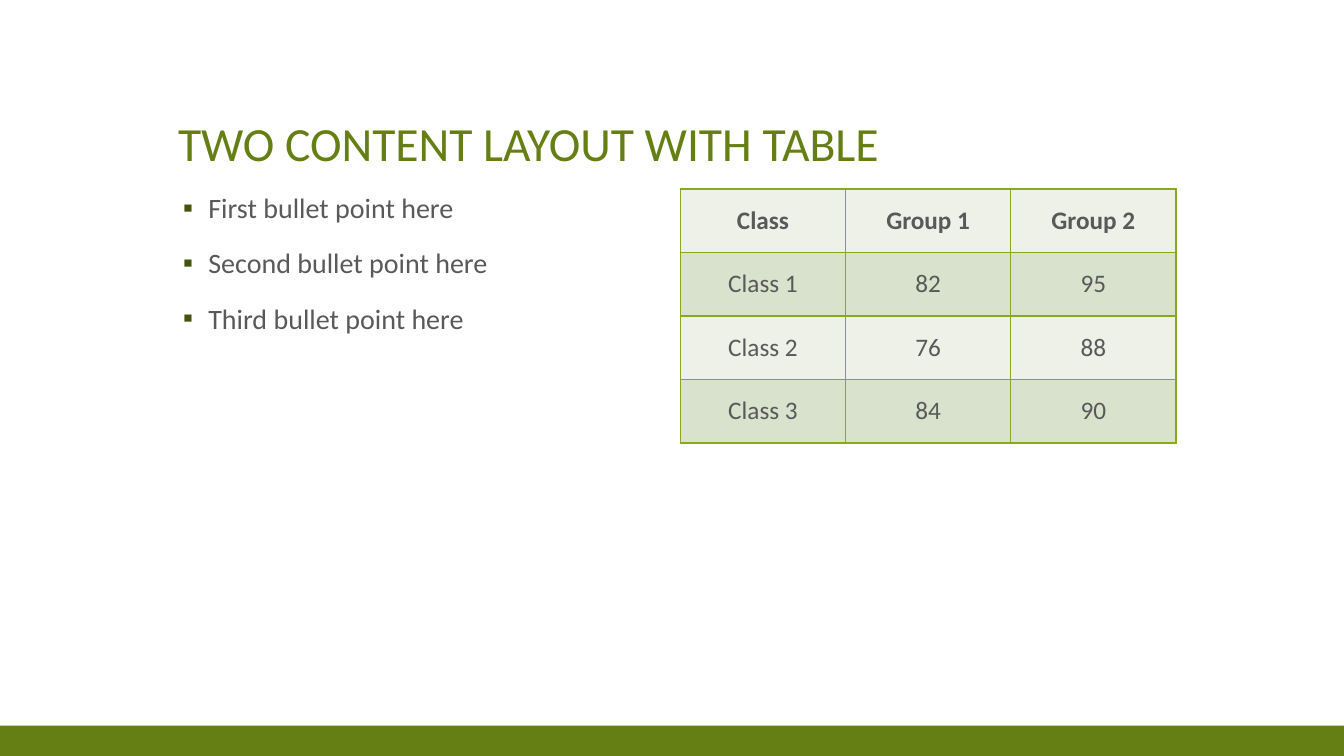
from dataclasses import dataclass

from pptx import Presentation
from pptx.dml.color import RGBColor
from pptx.enum.shapes import MSO_SHAPE as Preset
from pptx.enum.text import MSO_ANCHOR as Anchor, MSO_AUTO_SIZE as AutoSize, PP_ALIGN as Align
from pptx.oxml import parse_xml
from pptx.oxml.ns import nsdecls
from pptx.util import Inches, Pt


@dataclass(frozen=True)
class Theme:
    """Colours, font and type sizes of the slide."""
    accent: str = "657F14"
    bullet: str = "43540D"
    text: str = "595959"
    border: str = "87A91B"
    bands: tuple = ("EDF1E8", "D9E2CD")
    font: str = "Calibri"
    title_size: int = 34
    body_size: int = 20
    table_size: int = 18


@dataclass(frozen=True)
class Box:
    """A rectangle in inches."""
    left: float
    top: float
    width: float
    height: float

    def lengths(self):
        """Return the four lengths in slide units."""
        return [Inches(value) for value in (self.left, self.top, self.width, self.height)]


THEME = Theme()
WIDTH, HEIGHT = 13.33, 7.5
MARGIN = WIDTH / 8
CONTENT_WIDTH = WIDTH * 0.75
GUTTER = WIDTH / 80
COLUMN_WIDTH = (CONTENT_WIDTH - GUTTER) / 2
CONTENT_TOP = HEIGHT / 4
CONTENT_HEIGHT = HEIGHT * 0.65
ROW_HEIGHT = 0.63


def column_box(index, height):
    """Return the box of one of the two content columns."""
    return Box(MARGIN + index * (COLUMN_WIDTH + GUTTER), CONTENT_TOP, COLUMN_WIDTH, height)


def apply_format(target, values):
    """Set each named value on the target."""
    for name, value in values.items():
        setattr(target, name, value)


def write_paragraph(paragraph, text, size, color, bold=False, **layout):
    """Write one formatted run into a paragraph."""
    apply_format(paragraph, layout)
    run = paragraph.add_run()
    run.text = text
    apply_format(run.font, {"name": THEME.font, "size": Pt(size), "bold": bold})
    run.font.color.rgb = RGBColor.from_string(color)


def place_text(shape, box, anchor):
    """Move a placeholder into its box and return its text frame."""
    apply_format(shape, dict(zip(("left", "top", "width", "height"), box.lengths())))
    frame = shape.text_frame
    apply_format(frame, {"word_wrap": True, "auto_size": AutoSize.NONE, "vertical_anchor": anchor})
    return frame


def add_footer_band(slide, box):
    """Draw the plain band along the bottom edge."""
    band = slide.shapes.add_shape(Preset.RECTANGLE, *box.lengths())
    band.shadow.inherit = False
    band.fill.solid()
    band.fill.fore_color.rgb = RGBColor.from_string(THEME.accent)
    band.line.fill.background()


def fill_title(slide, box, text):
    """Set the title at the bottom of its box."""
    frame = place_text(slide.shapes.title, box, Anchor.BOTTOM)
    write_paragraph(frame.paragraphs[0], text, THEME.title_size, THEME.accent,
                    alignment=Align.LEFT, line_spacing=0.9)


def fill_bullets(slide, box, items):
    """Write the bullet list into the body placeholder."""
    frame = place_text(slide.placeholders[1], box, Anchor.TOP)
    for index, item in enumerate(items):
        paragraph = frame.add_paragraph() if index else frame.paragraphs[0]
        write_paragraph(paragraph, item, THEME.body_size, THEME.text, alignment=Align.LEFT,
                        line_spacing=0.9, space_before=Pt(18), space_after=Pt(0))
        properties = paragraph._p.get_or_add_pPr()
        properties.set("marL", str(Inches(0.3)))
        properties.set("indent", str(Inches(-0.25)))
        for xml in (f'<a:buClr {nsdecls("a")}><a:srgbClr val="{THEME.bullet}"/></a:buClr>',
                    f'<a:buFont {nsdecls("a")} typeface="{THEME.font}"/>',
                    f'<a:buChar {nsdecls("a")} char="▪"/>'):
            properties.append(parse_xml(xml))


def format_cell(cell, color):
    """Give a cell its borders and then its fill."""
    properties = cell._tc.get_or_add_tcPr()
    for side in ("lnL", "lnR", "lnT", "lnB"):
        properties.append(parse_xml(
            f'<a:{side} {nsdecls("a")} w="{Pt(1)}"><a:solidFill>'
            f'<a:srgbClr val="{THEME.border}"/></a:solidFill></a:{side}>'))
    cell.fill.solid()
    cell.fill.fore_color.rgb = RGBColor.from_string(color)
    cell.vertical_anchor = Anchor.MIDDLE


def add_score_table(slide, box, rows):
    """Add the table with a bold header and alternating row fills."""
    table = slide.shapes.add_table(len(rows), len(rows[0]), *box.lengths()).table
    for row_index, values in enumerate(rows):
        for column_index, value in enumerate(values):
            cell = table.cell(row_index, column_index)
            format_cell(cell, THEME.bands[row_index % 2])
            write_paragraph(cell.text_frame.paragraphs[0], value, THEME.table_size,
                            THEME.text, bold=row_index == 0, alignment=Align.CENTER)


def build_two_content_slide(presentation, title, bullets, rows):
    """Build a slide with bullets on the left and a table on the right."""
    slide = presentation.slides.add_slide(presentation.slide_layouts[1])
    add_footer_band(slide, Box(0, HEIGHT * 0.96, WIDTH, HEIGHT * 0.04))
    fill_title(slide, Box(MARGIN, HEIGHT / 15, CONTENT_WIDTH, HEIGHT / 6), title)
    fill_bullets(slide, column_box(0, CONTENT_HEIGHT), bullets)
    add_score_table(slide, column_box(1, ROW_HEIGHT * len(rows)), rows)


presentation = Presentation()
apply_format(presentation, {"slide_width": Inches(WIDTH), "slide_height": Inches(HEIGHT)})
build_two_content_slide(
    presentation,
    "TWO CONTENT LAYOUT WITH TABLE",
    ["First bullet point here", "Second bullet point here", "Third bullet point here"],
    [("Class", "Group 1", "Group 2"),
     ("Class 1", "82", "95"),
     ("Class 2", "76", "88"),
     ("Class 3", "84", "90")],
)
presentation.save("out.pptx")
